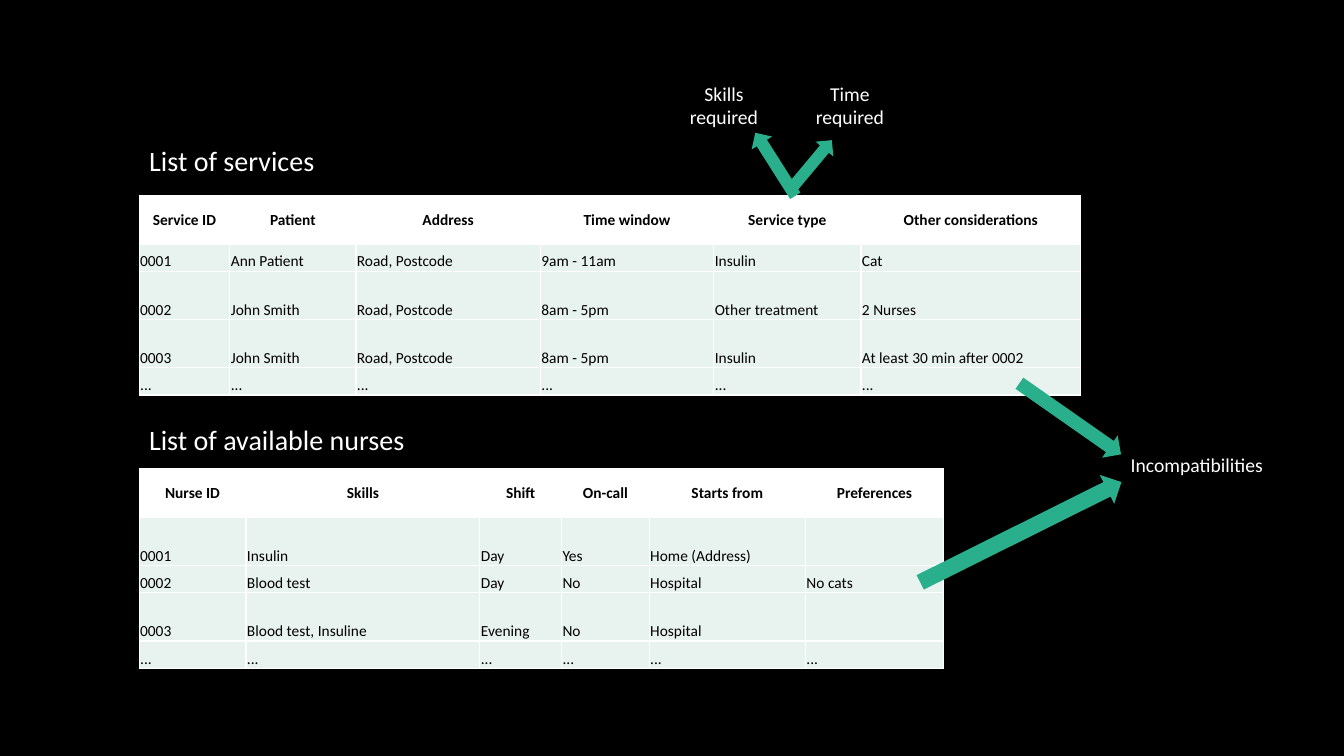
"""Build the slide of service and nurse lists with their incompatibilities."""
from lxml import etree
from pptx import Presentation
from pptx import util as u
from pptx.dml.color import RGBColor
from pptx.enum import shapes, text
from pptx.oxml.ns import qn

BLACK = RGBColor(0, 0, 0)
WHITE = RGBColor(255, 255, 255)
MINT = RGBColor(0xE8, 0xF2, 0xEE)
GREEN = RGBColor(0x29, 0xAF, 0x8C)
FONT = "Calibri"
LEFT, TALL, SHORT = 1.38, 0.48, 0.27

TITLE = ("List of services", (LEFT, 1.37, 2.37, 0.44))
NURSES = ("List of available nurses", (LEFT, 4.14, 3.48, 0.44))
TABLES = [
    (1.94, [0.9, 1.25, 1.83, 1.72, 1.46, 2.18],
     [TALL, SHORT, TALL, TALL, SHORT],
     [("Service ID", "Patient", "Address", "Time window", "Service type",
       "Other considerations"),
      ("0001", "Ann Patient", "Road, Postcode", "9am - 11am", "Insulin", "Cat"),
      ("0002", "John Smith", "Road, Postcode", "8am - 5pm", "Other treatment",
       "2 Nurses"),
      ("0003", "John Smith", "Road, Postcode", "8am - 5pm", "Insulin",
       "At least 30 min after 0002"),
      ("...",) * 6]),
    (4.65, [1.06, 2.32, 0.81, 0.87, 1.55, 1.37],
     [TALL, TALL, SHORT, TALL, SHORT],
     [("Nurse ID", "Skills", "Shift", "On-call", "Starts from", "Preferences"),
      ("0001", "Insulin", "Day", "Yes", "Home (Address)", ""),
      ("0002", "Blood test", "Day", "No", "Hospital", "No cats"),
      ("0003", "Blood test, Insuline", "Evening", "No", "Hospital", ""),
      ("...",) * 6]),
]
GROUPS = [
    ([(7.32, 1.51, 0.74, 0.24, 237.6), (7.75, 1.51, 0.61, 0.23, 309.9)],
     [("Skills\vrequired", (6.67, 0.76, 1.02, 0.72)),
      ("Time\nrequired", (7.92, 0.76, 1.02, 0.72))]),
    ([(10, 4.02, 1.23, 0.27, 35), (9.01, 5.12, 2.23, 0.32, 333.5)],
     [("Incompatibilities", (11, 4.44, 1.74, 0.42))]),
]


def inch(box):
    return [u.Inches(v) for v in box]


def write(frame, words, size=14, color=WHITE, bold=False, align="LEFT",
          anchor="TOP"):
    frame.text = words
    frame.word_wrap = True
    frame.vertical_anchor = getattr(text.MSO_ANCHOR, anchor)
    for para in frame.paragraphs:
        para.alignment = getattr(text.PP_ALIGN, align)
        for run in para.runs:
            font = run.font
            font.name, font.size, font.bold = FONT, u.Pt(size), bold
            font.color.rgb = color


def edge(cell):
    props = cell._tc.get_or_add_tcPr()
    for side in ("lnL", "lnR", "lnT", "lnB"):
        line = etree.SubElement(props, qn("a:" + side), w=str(u.Pt(1)))
        fill = etree.SubElement(line, qn("a:solidFill"))
        etree.SubElement(fill, qn("a:srgbClr"), val=str(WHITE))


def add_grid(slide, top, cols, rows, data):
    box = inch((LEFT, top, sum(cols), sum(rows)))
    grid = slide.shapes.add_table(len(rows), len(cols), *box).table
    grid.horz_banding = False
    for col, width in zip(grid.columns, cols):
        col.width = u.Inches(width)
    for r, (row, high) in enumerate(zip(grid.rows, rows)):
        row.height = u.Inches(high)
        head = r == 0
        for cell, words in zip(row.cells, data[r]):
            cell.margin_left = cell.margin_right = u.Inches(0.01)
            cell.margin_top, cell.margin_bottom = u.Inches(0.01), 0
            write(cell.text_frame, words, size=11, color=BLACK, bold=head,
                  align="CENTER" if head else "LEFT")
            cell.vertical_anchor = (text.MSO_ANCHOR.MIDDLE if head
                                    else text.MSO_ANCHOR.BOTTOM)
            edge(cell)
            cell.fill.solid()
            cell.fill.fore_color.rgb = WHITE if head else MINT


def add_arrow(group, *box, turn):
    arrow = group.shapes.add_shape(shapes.MSO_SHAPE.RIGHT_ARROW, *inch(box))
    arrow.rotation = turn
    arrow.shadow.inherit = False
    arrow.fill.solid()
    arrow.fill.fore_color.rgb = GREEN
    arrow.line.fill.background()


def main():
    deck = Presentation()
    deck.slide_width, deck.slide_height = inch((13.33, 7.5))
    slide = deck.slides.add_slide(deck.slide_layouts[5])
    slide.background.fill.solid()
    slide.background.fill.fore_color.rgb = BLACK

    for table in TABLES:
        add_grid(slide, *table)

    words, box = TITLE
    title = slide.shapes.title
    title.left, title.top, title.width, title.height = inch(box)
    write(title.text_frame, words, size=20)
    words, box = NURSES
    label = slide.shapes.add_textbox(*inch(box))
    write(label.text_frame, words, size=20)

    for arrows, notes in GROUPS:
        group = slide.shapes.add_group_shape()
        for *box, turn in arrows:
            add_arrow(group, *box, turn=turn)
        for words, box in notes:
            note = group.shapes.add_textbox(*inch(box))
            write(note.text_frame, words, align="CENTER")

    deck.save("out.pptx")


if __name__ == "__main__":
    main()
